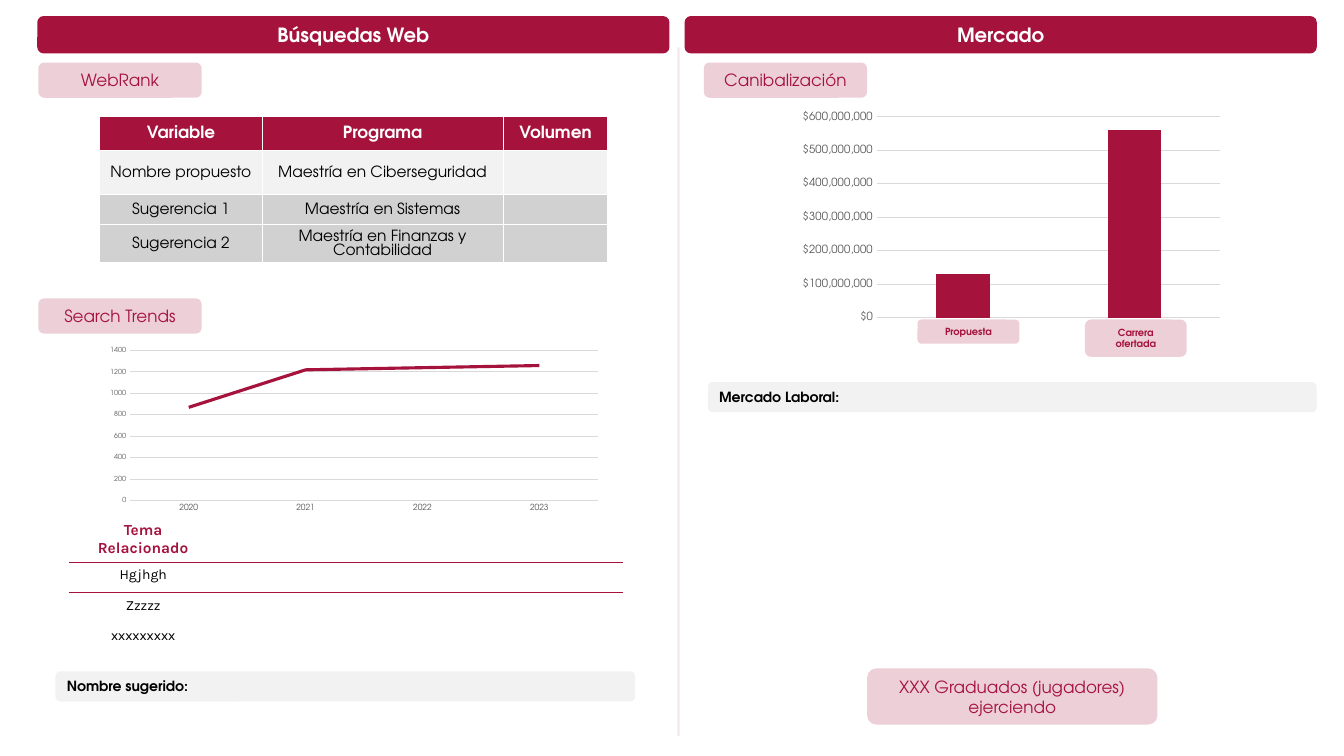
import lxml.etree
import pptx
import pptx.chart.data
import pptx.dml.color
import pptx.enum.chart
import pptx.enum.shapes
import pptx.enum.text
import pptx.oxml.ns
import pptx.util

Inches = pptx.util.Inches
Pt = pptx.util.Pt
qn = pptx.oxml.ns.qn
ALIGN = pptx.enum.text.PP_ALIGN
FONT = "TeX Gyre Adventor"
COLORS = {"brand": "A5133D", "white": "FFFFFF", "black": "000000", "pale": "F2F2F2",
          "gray": "D1D1D1", "grid": "D9D9D9", "axis": "595959"}


def color(name):
    return pptx.dml.color.RGBColor.from_string(COLORS[name])


def write_text(text_frame, text, size=12, tone="black", bold=False, font=FONT,
               align=ALIGN.CENTER):
    text_frame.word_wrap = True
    paragraph = text_frame.paragraphs[0]
    paragraph.alignment = align
    if not text:
        lxml.etree.SubElement(paragraph._p, qn("a:endParaRPr"), sz=str(size * 100))
        return
    run = paragraph.add_run()
    run.text = text
    run.font.size = Pt(size)
    run.font.name = font
    run.font.bold = bold
    run.font.color.rgb = color(tone)


def set_opacity(element, percent):
    color_element = element.find(".//" + qn("a:srgbClr"))
    lxml.etree.SubElement(color_element, qn("a:alpha"), val=str(percent * 1000))


def add_box(slide, box, text, fill="brand", opacity=None, **text_format):
    shape = slide.shapes.add_shape(pptx.enum.shapes.MSO_SHAPE.ROUNDED_RECTANGLE,
                                   *map(Inches, box))
    shape.shadow.inherit = False
    shape.fill.solid()
    shape.fill.fore_color.rgb = color(fill)
    shape.line.fill.background()
    if opacity:
        set_opacity(shape._element.spPr, opacity)
    write_text(shape.text_frame, text, **text_format)


def add_header(slide, left, top, text):
    add_box(slide, (left, top, 6.27, 0.37), text, size=14, tone="white", bold=True)


def add_tag(slide, box, text, size=12, bold=False):
    add_box(slide, box, text, opacity=20, size=size, tone="brand", bold=bold)


def add_note(slide, box, text):
    add_box(slide, box, text, fill="pale", size=10, bold=True, align=ALIGN.JUSTIFY)


def add_divider(slide, x, top, bottom):
    line = slide.shapes.add_connector(pptx.enum.shapes.MSO_CONNECTOR.STRAIGHT,
                                      *map(Inches, (x, top, x, bottom)))
    line.line.color.rgb = color("brand")
    line.line.width = Pt(1.5)
    set_opacity(line._element.spPr, 10)
    lxml.etree.SubElement(line._element.spPr, qn("a:effectLst"))


def set_borders(cell, sides, tone):
    properties = cell._tc.get_or_add_tcPr()
    for index, side in enumerate(sides):
        border = lxml.etree.Element(qn("a:ln" + side), w="12700")
        fill = lxml.etree.SubElement(border, qn("a:solidFill"))
        lxml.etree.SubElement(fill, qn("a:srgbClr"), val=COLORS[tone])
        properties.insert(index, border)


def add_table(slide, left, top, widths, heights):
    frame = slide.shapes.add_table(
        len(heights), len(widths),
        *map(Inches, (left, top, sum(widths), sum(heights))))
    table = frame.table
    table.first_row = table.horz_banding = False
    for column, width in zip(table.columns, widths):
        column.width = Inches(width)
    for row, height in zip(table.rows, heights):
        row.height = Inches(height)
    return table


def add_volume_table(slide, left, top):
    rows = [("Variable", "Programa", "Volumen"),
            ("Nombre propuesto", "Maestría en Ciberseguridad", ""),
            ("Sugerencia 1", "Maestría en Sistemas", ""),
            ("Sugerencia 2", "Maestría en Finanzas y Contabilidad", "")]
    fills = ["brand", "pale", "gray", "gray"]
    table = add_table(slide, left, top, [1.61, 2.39, 1.04], [0.34, 0.44, 0.3, 0.38])
    for row, (texts, fill) in enumerate(zip(rows, fills)):
        header = row == 0
        for column, text in enumerate(texts):
            cell = table.cell(row, column)
            cell.margin_left = cell.margin_right = cell.margin_top = Inches(0.01)
            cell.margin_bottom = 0
            cell.vertical_anchor = pptx.enum.text.MSO_ANCHOR.MIDDLE
            cell.fill.solid()
            cell.fill.fore_color.rgb = color(fill)
            set_borders(cell, "LRTB", "white")
            write_text(cell.text_frame, text, size=12 if header else 11, bold=header,
                       tone="white" if header else "black")


def add_topic_table(slide, left, top):
    topics = ["Tema Relacionado", "Hgjhgh", "Zzzzz", "xxxxxxxxx"]
    borders = ["B", "TB", "T", ""]
    table = add_table(slide, left, top, [1.46, 4.02], [0.45, 0.3, 0.3, 0.3])
    for row, (topic, sides) in enumerate(zip(topics, borders)):
        header = row == 0
        for column, text in enumerate((topic, "")):
            cell = table.cell(row, column)
            cell.fill.background()
            set_borders(cell, sides, "brand")
            write_text(cell.text_frame, text, size=11 if header else 10, font="Karla",
                       tone="brand" if header else "black", bold=header)


def set_plot_area(chart, box):
    plot_area = chart._chartSpace.find(".//" + qn("c:plotArea"))
    layout = plot_area.find(qn("c:layout"))
    if layout is None:
        layout = lxml.etree.Element(qn("c:layout"))
        plot_area.insert(0, layout)
    manual = lxml.etree.SubElement(layout, qn("c:manualLayout"))
    settings = [("layoutTarget", "inner"), ("xMode", "edge"), ("yMode", "edge")]
    for name, value in settings + list(zip("xywh", box)):
        lxml.etree.SubElement(manual, qn("c:" + name), val=str(value))


def format_axis(axis, size):
    axis.major_tick_mark = axis.minor_tick_mark = pptx.enum.chart.XL_TICK_MARK.NONE
    axis.tick_labels.font.size = Pt(size)
    axis.tick_labels.font.name = FONT
    axis.tick_labels.font.color.rgb = color("axis")


def add_chart(slide, box, kind, categories, values, plot_box, size, top_value, step):
    data = pptx.chart.data.CategoryChartData()
    data.categories = categories
    data.add_series("Series 1", values)
    chart = slide.shapes.add_chart(kind, *map(Inches, box), data).chart
    chart.has_legend = chart.has_title = False
    chart.font.size = Pt(8)
    chart.font.name = FONT
    chart.font.color.rgb = color("black")
    chart.plots[0].vary_by_categories = False
    axis = chart.value_axis
    format_axis(axis, size)
    axis.minimum_scale, axis.maximum_scale, axis.major_unit = 0, top_value, step
    axis.format.line.fill.background()
    axis.major_gridlines.format.line.color.rgb = color("grid")
    axis.major_gridlines.format.line.width = Pt(0.75)
    set_plot_area(chart, plot_box)
    return chart


def add_trend_chart(slide, box):
    chart = add_chart(slide, box, pptx.enum.chart.XL_CHART_TYPE.LINE,
                      ["2020", "2021", "2022", "2023"], [870, 1220, 1240, 1260],
                      (0.06, 0.04, 0.92, 0.87), 5, 1400, 200)
    format_axis(chart.category_axis, 6)
    chart.category_axis.format.line.color.rgb = color("grid")
    chart.category_axis.format.line.width = Pt(0.75)
    series = chart.plots[0].series[0]
    series.smooth = False
    series.marker.style = pptx.enum.chart.XL_MARKER_STYLE.NONE
    series.format.line.color.rgb = color("brand")
    series.format.line.width = Pt(2.25)


def add_overlap_chart(slide, box):
    chart = add_chart(slide, box, pptx.enum.chart.XL_CHART_TYPE.COLUMN_CLUSTERED,
                      ["1", "2"], [130000000, 560000000],
                      (0.19, 0.05, 0.79, 0.91), 8, 600000000, 100000000)
    chart.category_axis.visible = False
    chart.value_axis.tick_labels.number_format = '"$"#,##0'
    chart.value_axis.tick_labels.number_format_is_linked = False
    plot = chart.plots[0]
    plot.gap_width = 219
    plot.overlap = -27
    plot.series[0].format.fill.solid()
    plot.series[0].format.fill.fore_color.rgb = color("brand")


def add_search_panel(slide, left, top):
    add_header(slide, left, top, "Búsquedas Web")
    add_tag(slide, (left + 0.01, top + 0.46, 1.62, 0.35), "WebRank")
    add_volume_table(slide, left + 0.62, top + 0.99)
    add_tag(slide, (left + 0.01, top + 2.8, 1.62, 0.35), "Search Trends")
    add_trend_chart(slide, (left + 0.62, top + 3.25, 5.04, 1.71))
    add_topic_table(slide, left + 0.32, top + 4.96)
    add_note(slide, (left + 0.18, top + 6.5, 5.75, 0.3), "Nombre sugerido:")


def add_market_panel(slide, left, top):
    add_header(slide, left, top, "Mercado")
    add_tag(slide, (left + 0.19, top + 0.46, 1.62, 0.35), "Canibalización")
    add_overlap_chart(slide, (left + 1.09, top + 0.89, 4.31, 2.19))
    add_tag(slide, (left + 2.31, top + 3.01, 1.01, 0.24), "Propuesta", 7, True)
    add_tag(slide, (left + 3.97, top + 3.01, 1.01, 0.37), "Carrera ofertada", 7, True)
    add_note(slide, (left + 0.23, top + 3.63, 6.04, 0.3), "Mercado Laboral:")
    add_tag(slide, (left + 1.81, top + 6.47, 2.88, 0.56),
            "XXX Graduados (jugadores) ejerciendo")


def main():
    presentation = pptx.Presentation()
    presentation.slide_width = Inches(13.33)
    presentation.slide_height = Inches(7.5)
    slide = presentation.slides.add_slide(presentation.slide_layouts[6])
    add_divider(slide, 6.73, 0.47, 7.3)
    add_search_panel(slide, 0.37, 0.16)
    add_market_panel(slide, 6.79, 0.16)
    presentation.save("out.pptx")


if __name__ == "__main__":
    main()
